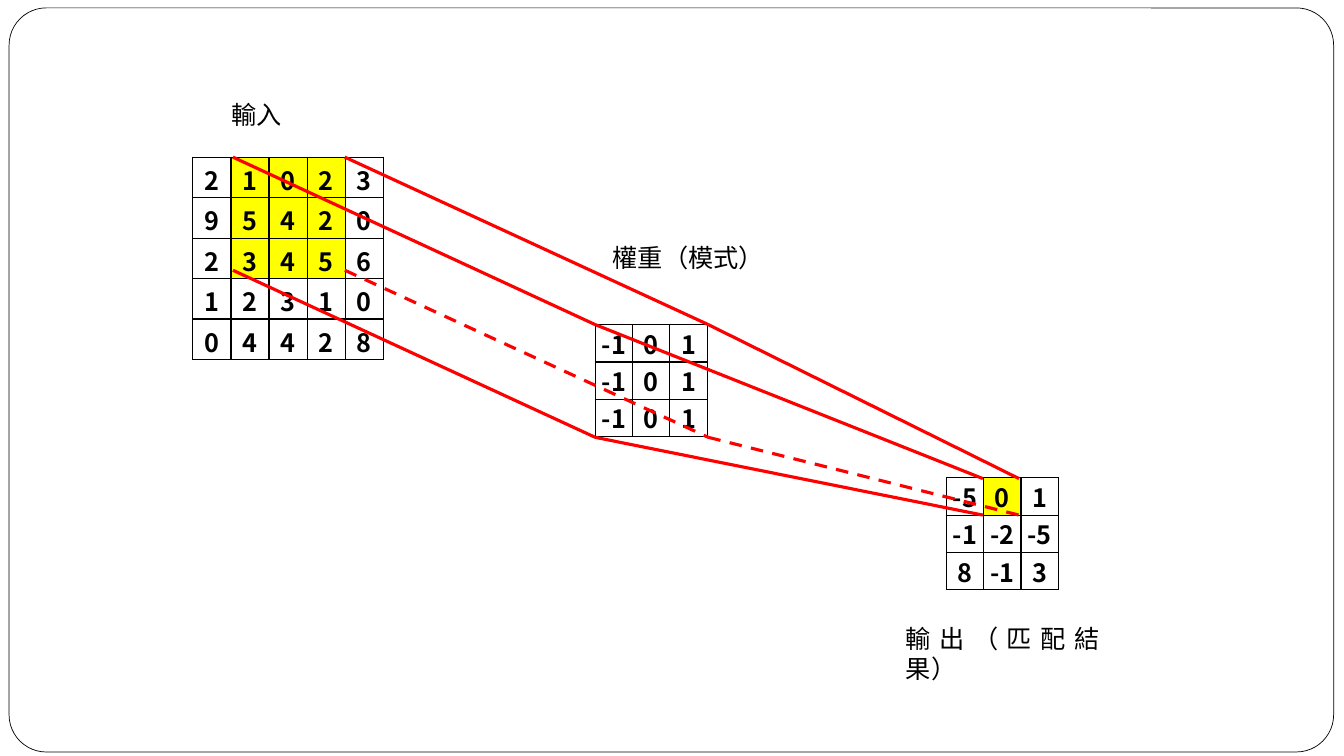
from itertools import product

from lxml import etree
from pptx import Presentation
from pptx import util as u
from pptx.dml.color import RGBColor
from pptx.enum import dml, shapes, text
from pptx.oxml.ns import qn

HUES = {"ink": "000000", "paper": "FFFFFF", "mark": "FFFF00", "ray": "FF0000"}


class Board:
    font = "Noto Sans CJK SC"
    size = u.Pt(18)

    def __init__(self, slide):
        self.slide = slide

    def hue(self, name):
        return RGBColor.from_string(HUES[name])

    def paint(self, fill, name):
        fill.solid()
        fill.fore_color.rgb = self.hue(name)

    def add_words(self, para, words, bold=False):
        run = para.add_run()
        run.text = words
        run.font.name = self.font
        run.font.size = self.size
        run.font.bold = bold
        run.font.color.rgb = self.hue("ink")

    def frame(self, x, y, w, h):
        box = self.slide.shapes.add_shape(
            shapes.MSO_SHAPE.ROUNDED_RECTANGLE, u.Cm(x), u.Cm(y), u.Cm(w), u.Cm(h))
        box.adjustments[0] = 0.05
        box.shadow.inherit = False
        self.paint(box.fill, "paper")
        box.line.color.rgb = self.hue("ink")
        box.line.width = u.Pt(0.5)

    def label(self, words, x, y, w, h, align, fill=None):
        box = self.slide.shapes.add_textbox(u.Cm(x), u.Cm(y), u.Cm(w), u.Cm(h))
        if fill:
            self.paint(box.fill, fill)
        box.text_frame.word_wrap = True
        para = box.text_frame.paragraphs[0]
        para.alignment = align
        self.add_words(para, words)

    def border(self, cell):
        props = cell._tc.get_or_add_tcPr()
        for i, side in enumerate(("lnL", "lnR", "lnT", "lnB")):
            line = etree.Element(qn("a:" + side), w=str(u.Pt(1)))
            fill = etree.SubElement(line, qn("a:solidFill"))
            etree.SubElement(fill, qn("a:srgbClr"), val=HUES["ink"])
            props.insert(i, line)

    def grid(self, rows, x, y, wide, high, marks=(), top=0):
        count = len(rows[0])
        table = self.slide.shapes.add_table(
            len(rows), count, u.Cm(x), u.Cm(y),
            u.Cm(wide * count), u.Cm(high * len(rows))).table
        table.first_row = table.horz_banding = False
        for col in table.columns:
            col.width = u.Cm(wide)
        for r, row in enumerate(rows):
            table.rows[r].height = u.Cm(high)
            for c, value in enumerate(row):
                cell = table.cell(r, c)
                cell.margin_left = cell.margin_right = u.Cm(0.05)
                cell.margin_top, cell.margin_bottom = u.Cm(top), 0
                cell.vertical_anchor = text.MSO_ANCHOR.MIDDLE
                if (r, c) in marks:
                    self.paint(cell.fill, "mark")
                else:
                    cell.fill.background()
                self.border(cell)
                para = cell.text_frame.paragraphs[0]
                para.alignment = text.PP_ALIGN.CENTER
                self.add_words(para, str(value), bold=True)

    def ray(self, start, end, dash=False):
        line = self.slide.shapes.add_connector(
            shapes.MSO_CONNECTOR.STRAIGHT, *map(u.Cm, start + end))
        line.line.color.rgb = self.hue("ray")
        line.line.width = u.Pt(2.25)
        if dash:
            line.line.dash_style = dml.MSO_LINE.DASH
        etree.SubElement(line._element.spPr, qn("a:effectLst"))


def main():
    deck = Presentation()
    deck.slide_width, deck.slide_height = u.Cm(33.87), u.Cm(19.05)
    board = Board(deck.slides.add_slide(deck.slide_layouts[6]))
    board.frame(0.23, 0.2, 33.38, 18.75)

    # Input, weights and output
    source = [[2, 1, 0, 2, 3], [9, 5, 4, 2, 0], [2, 3, 4, 5, 6],
              [1, 2, 3, 1, 0], [0, 4, 4, 2, 8]]
    window = set(product(range(3), range(1, 4)))
    board.grid(source, 4.86, 3.96, 0.96, 0.95, window, 0.1)
    board.grid([[-1, 0, 1]] * 3, 15, 8.18, 0.94, 0.94)
    result = [[-5, 0, 1], [-1, -2, -5], [8, -1, 3]]
    board.grid(result, 23.85, 12.04, 0.94, 0.94, {(0, 1)})

    # Rays join like corners of each patch: left, top, right, bottom
    patches = [(5.87, 3.96, 8.69, 6.81), (15, 8.18, 17.85, 11.02),
               (24.77, 12.06, 25.68, 12.98)]
    for near, far in zip(patches, patches[1:]):
        for h, v in product((0, 2), (1, 3)):
            board.ray((near[h], near[v]), (far[h], far[v]), dash=(h, v) == (2, 3))

    # Labels
    even, left = text.PP_ALIGN.JUSTIFY, text.PP_ALIGN.LEFT
    board.label("輸出（匹配結果）", 22.58, 15.57, 5.38, 1.22, even, "paper")
    board.label("權重（模式）", 15.19, 5.99, 4.39, 1.12, left)
    board.label("輸入", 5.59, 2.39, 2.11, 1.17, even, "paper")

    deck.save("out.pptx")


if __name__ == "__main__":
    main()
